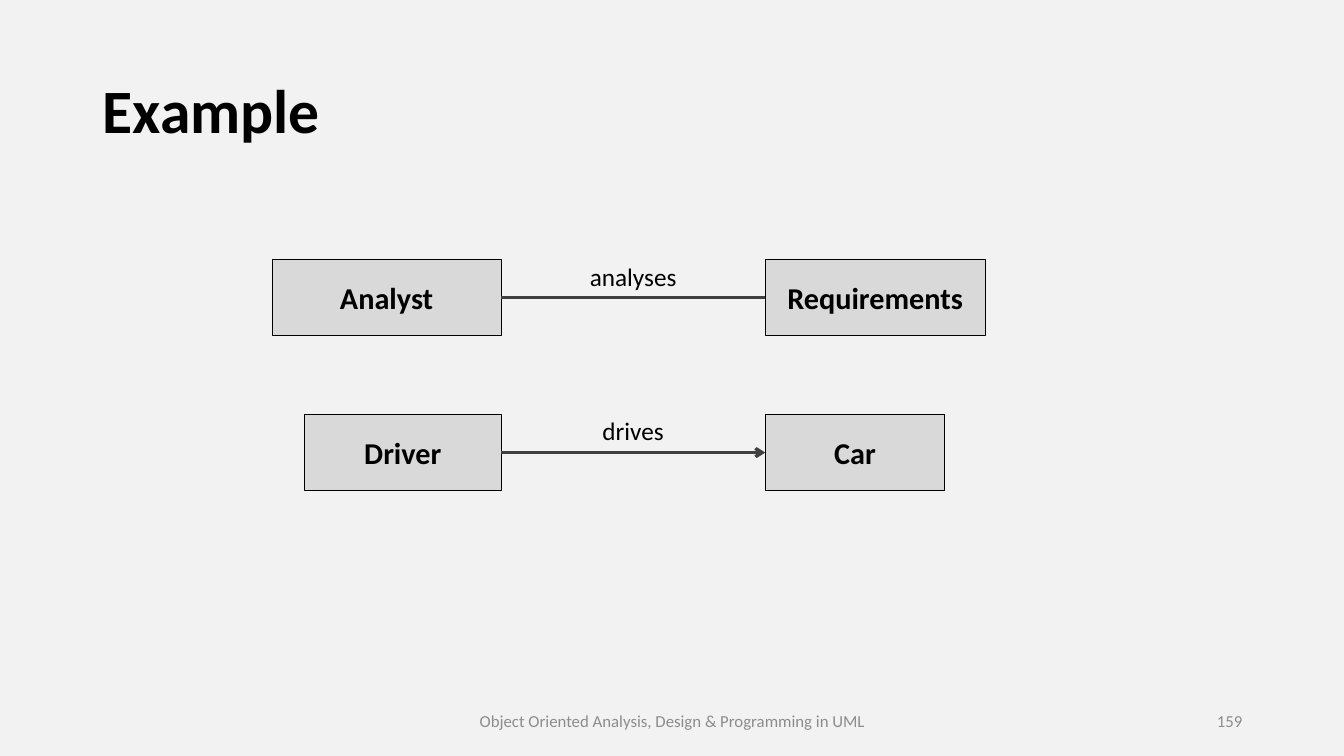
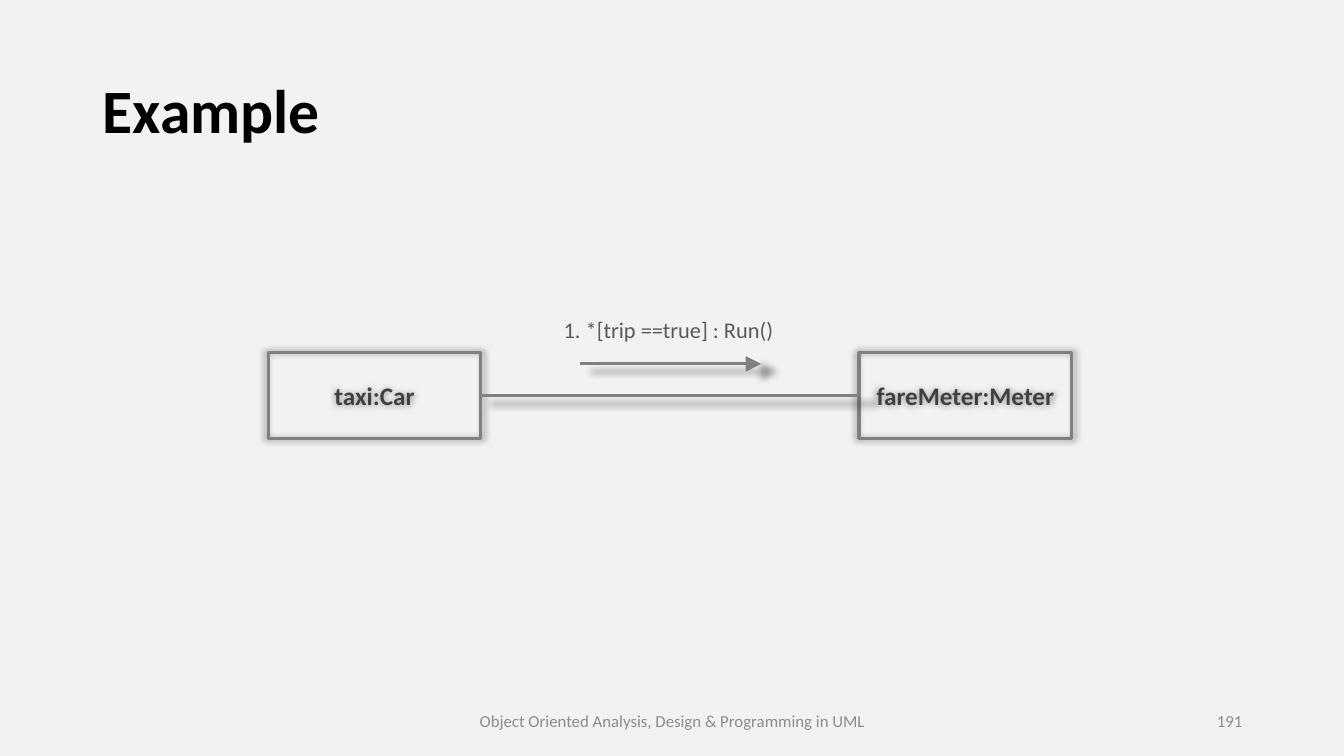
from dataclasses import dataclass

from lxml import etree
from pptx import Presentation
from pptx.dml.color import RGBColor
from pptx.enum.shapes import MSO_CONNECTOR, MSO_SHAPE
from pptx.enum.text import MSO_ANCHOR, PP_ALIGN
from pptx.oxml.ns import qn
from pptx.util import Inches, Pt

LEFT, CENTER, RIGHT = PP_ALIGN.LEFT, PP_ALIGN.CENTER, PP_ALIGN.RIGHT
TOP, MIDDLE = MSO_ANCHOR.TOP, MSO_ANCHOR.MIDDLE
RECTANGLE, STRAIGHT = MSO_SHAPE.RECTANGLE, MSO_CONNECTOR.STRAIGHT
LEFT_SIDE, RIGHT_SIDE = 1, 3


@dataclass(frozen=True)
class Theme:
    font: str = "Calibri"
    background: str = "F2F2F2"
    black: str = "000000"
    dark: str = "404040"
    text: str = "595959"
    mid: str = "808080"
    footer: str = "8C8C8C"
    box_fill: str = "D9D9D9"
    title_size: float = 44
    class_size: float = 21.6
    object_size: float = 18
    label_size: float = 18
    message_size: float = 16
    footer_size: float = 12
    thin: float = 0.5
    thick: float = 2.25


THEME = Theme()

TITLE = "Example"
FOOTER = "Object Oriented Analysis, Design & Programming in UML"

# Each box: name, width. The inner sides of every pair line up.
CLASS_GAP = (4.97, 7.59)
CLASS_HEIGHT = 0.76
LABEL_WIDTH = 1.07
ASSOCIATIONS = [
    {"top": 2.57, "source": ("Analyst", 2.27), "target": ("Requirements", 2.18),
     "label": "analyses", "label_top": 2.54, "arrow": None},
    {"top": 4.11, "source": ("Driver", 1.95), "target": ("Car", 1.78),
     "label": "drives", "label_top": 4.07, "arrow": {"type": "arrow"}},
]

OBJECT_GAP = (4.77, 8.52)
OBJECT_TOP, OBJECT_WIDTH, OBJECT_HEIGHT = 3.5, 2.11, 0.85
OBJECTS = ("taxi:Car", "fareMeter:Meter")
MESSAGE = "1. *[trip ==true] : Run()"
MESSAGE_LINE = (5.75, 7.55, 3.61)
MESSAGE_ARROW = {"type": "triangle", "w": "lg", "len": "lg"}


def color(code):
    return RGBColor.from_string(code)


def set_shadow(shape, visible):
    """Replace the theme effect by a soft halo, or by no effect."""
    properties = shape._element.spPr
    effects = etree.SubElement(properties, qn("a:effectLst"))
    if visible:
        halo = etree.SubElement(effects, qn("a:outerShdw"), blurRad=str(Pt(5)),
                                sx="102000", sy="102000", algn="ctr", rotWithShape="0")
        black = etree.SubElement(halo, qn("a:srgbClr"), val=THEME.black)
        etree.SubElement(black, qn("a:alpha"), val="40000")


def write(shape, text, size, code=THEME.black, bold=False, align=CENTER,
          anchor=MIDDLE, wrap=True, spacing=None):
    frame = shape.text_frame
    frame.word_wrap = wrap
    frame.vertical_anchor = anchor
    para = frame.paragraphs[0]
    para.alignment = align
    if spacing:
        para.line_spacing = spacing
    span = para.add_run()
    span.text = text
    span.font.name = THEME.font
    span.font.size = Pt(size)
    span.font.bold = bold
    span.font.color.rgb = color(code)


def add_text(page, place, text, **style):
    write(page.shapes.add_textbox(*map(Inches, place)), text, **style)


def add_box(page, place, text, line, width, fill=None, shadow=False, **style):
    box = page.shapes.add_shape(RECTANGLE, *map(Inches, place))
    if fill:
        box.fill.solid()
        box.fill.fore_color.rgb = color(fill)
    else:
        box.fill.background()
    box.line.color.rgb = color(line)
    box.line.width = Pt(width)
    set_shadow(box, shadow)
    write(box, text, bold=True, **style)
    return box


def add_line(page, start, end, code, arrow=None, shadow=False):
    line = page.shapes.add_connector(STRAIGHT, *map(Inches, (*start, *end)))
    line.line.color.rgb = color(code)
    line.line.width = Pt(THEME.thick)
    if arrow:
        etree.SubElement(line.line._get_or_add_ln(), qn("a:tailEnd"), **arrow)
    set_shadow(line, shadow)
    return line


def join(page, source, target, code, **style):
    """Link the right side of one box to the left side of another."""
    line = add_line(page, (0, 0), (1, 1), code, **style)
    line.begin_connect(source, RIGHT_SIDE)
    line.end_connect(target, LEFT_SIDE)


def add_page(deck, number):
    page = deck.slides.add_slide(deck.slide_layouts[5])
    title = page.shapes.title
    title.left, title.top, title.width, title.height = map(Inches, (0.92, 0.4, 11.5, 1.45))
    write(title, TITLE, size=THEME.title_size, bold=True, align=LEFT, spacing=0.9)

    footer = {"size": THEME.footer_size, "code": THEME.footer}
    add_text(page, (4.42, 6.95, 4.5, 0.4), FOOTER, **footer)
    add_text(page, (9.42, 6.95, 3, 0.4), str(number), align=RIGHT, **footer)
    return page


def draw_associations(page):
    start, end = CLASS_GAP
    style = {"line": THEME.black, "width": THEME.thin, "fill": THEME.box_fill,
             "size": THEME.class_size}
    for row in ASSOCIATIONS:
        name, width = row["source"]
        source = add_box(page, (start - width, row["top"], width, CLASS_HEIGHT), name, **style)
        name, width = row["target"]
        target = add_box(page, (end, row["top"], width, CLASS_HEIGHT), name, **style)
        join(page, source, target, THEME.dark, arrow=row["arrow"])
        add_text(page, ((start + end - LABEL_WIDTH) / 2, row["label_top"], LABEL_WIDTH, 0.4),
                 row["label"], size=THEME.label_size, anchor=TOP, wrap=False)


def draw_message(page):
    start, end = OBJECT_GAP
    lefts = (start - OBJECT_WIDTH, end)
    source, target = [
        add_box(page, (left, OBJECT_TOP, OBJECT_WIDTH, OBJECT_HEIGHT), name,
                line=THEME.mid, width=THEME.thick, shadow=True,
                size=THEME.object_size, code=THEME.dark)
        for left, name in zip(lefts, OBJECTS)]
    join(page, source, target, THEME.mid, shadow=True)
    left, right, level = MESSAGE_LINE
    add_line(page, (left, level), (right, level), THEME.mid, arrow=MESSAGE_ARROW, shadow=True)
    add_text(page, (5.32, 3.09, 2.62, 0.37), MESSAGE, size=THEME.message_size,
             code=THEME.text, anchor=TOP)


def main():
    deck = Presentation()
    deck.slide_width, deck.slide_height = Inches(13.33), Inches(7.5)
    background = deck.slide_master.background.fill
    background.solid()
    background.fore_color.rgb = color(THEME.background)
    for number, draw in ((159, draw_associations), (191, draw_message)):
        draw(add_page(deck, number))
    deck.save("out.pptx")


if __name__ == "__main__":
    main()
